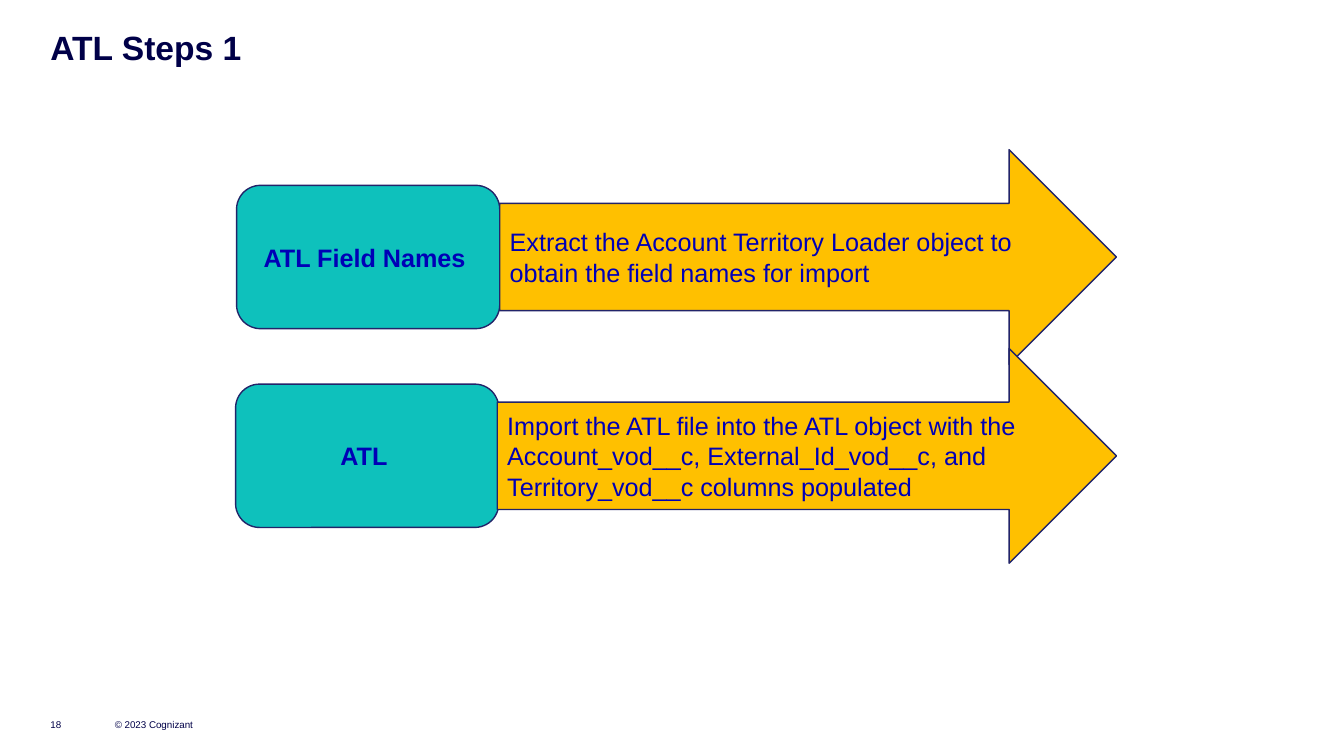
from pptx import Presentation
from pptx.dml.color import RGBColor
from pptx.enum import shapes, text
from pptx.util import Pt


def paint(target, color):
    target.fill.solid()
    target.fill.fore_color.rgb = RGBColor.from_string(color)


def write(shape, words, size, color, bold=False, inset=0):
    frame = shape.text_frame
    frame.margin_left = frame.margin_right = Pt(inset)
    frame.margin_top = frame.margin_bottom = Pt(inset / 2)
    para = frame.paragraphs[0]
    run = para.add_run()
    run.text = words
    run.font.name = "Arial"
    run.font.size = Pt(size)
    run.font.bold = bold
    paint(run.font, color)
    return frame, para


deck = Presentation()
deck.slide_width, deck.slide_height = Pt(960), Pt(540)
slide = deck.slides.add_slide(deck.slide_layouts[5])

title = slide.shapes.title
title.left, title.top, title.width, title.height = Pt(36), Pt(19.5), Pt(826.5), Pt(27.5)
frame, para = write(title, "ATL Steps 1", 24, "000048", True)
frame.vertical_anchor = text.MSO_ANCHOR.TOP
para.alignment = text.PP_ALIGN.LEFT

for words, left, width in [("© 2023 Cognizant", 82, 94), ("18", 36, 28)]:
    foot = slide.shapes.add_textbox(Pt(left), Pt(493), Pt(width), Pt(29))
    frame, para = write(foot, words, 7, "000048")
    frame.word_wrap = False
    frame.vertical_anchor = text.MSO_ANCHOR.BOTTOM

ROUND = shapes.MSO_SHAPE.ROUNDED_RECTANGLE
ARROW = shapes.MSO_SHAPE.RIGHT_ARROW
steps = [
    ("ATL Field Names ", 169, 357,
     "Extract the Account Territory Loader object to obtain the field names for import"),
    ("ATL ", 168.3, 355.2,
     "Import the ATL file into the ATL object with the Account_vod__c, "
     "External_Id_vod__c, and Territory_vod__c columns populated"),
]
for row, (name, left, start, task) in enumerate(steps):
    mid = 183.6 + 142 * row
    parts = [
        (ROUND, left, 188, 102.4, "0EC1BC", name, True, text.PP_ALIGN.CENTER),
        (ARROW, start, 797.5 - start, 153.4, "FFC000", task, False, text.PP_ALIGN.LEFT),
    ]
    for kind, x, width, height, color, words, bold, align in parts:
        shape = slide.shapes.add_shape(
            kind, Pt(x), Pt(mid - height / 2), Pt(width), Pt(height))
        shape.shadow.inherit = False
        paint(shape, color)
        paint(shape.line, "222469")
        shape.line.width = Pt(1)
        frame, para = write(shape, words, 18, "0000B6", bold, 7.2)
        frame.word_wrap = True
        frame.vertical_anchor = text.MSO_ANCHOR.MIDDLE
        para.alignment = align

deck.save("out.pptx")
